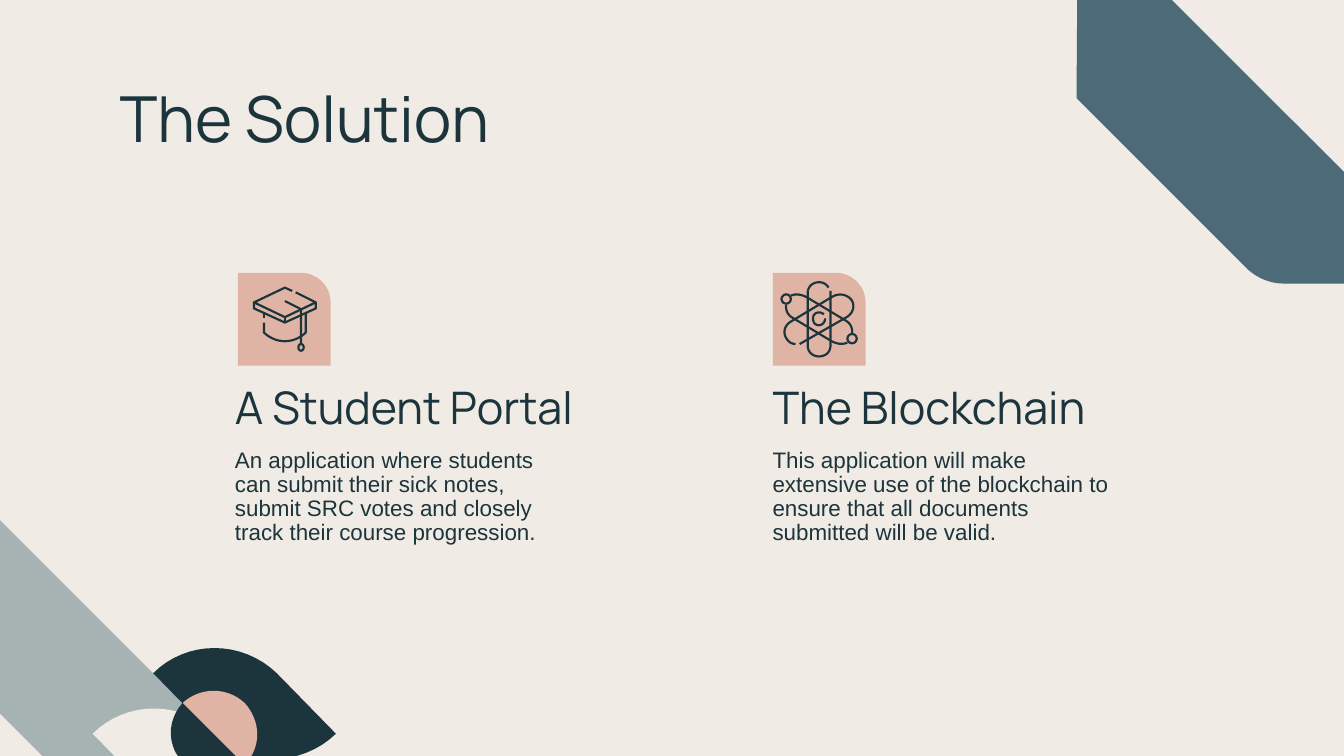
from dataclasses import dataclass

from pptx import Presentation
from pptx.dml.color import RGBColor
from pptx.enum.shapes import MSO_SHAPE
from pptx.enum.text import MSO_ANCHOR, MSO_AUTO_SIZE, PP_ALIGN
from pptx.util import Pt

OVAL = MSO_SHAPE.OVAL
TILE = MSO_SHAPE.ROUND_1_RECTANGLE
TOP = MSO_ANCHOR.TOP
LEFT = PP_ALIGN.LEFT
NO_FIT = MSO_AUTO_SIZE.NONE

PX = 4572  # EMU per px: 200 px to the inch
CURVE_STEPS = 16


@dataclass(frozen=True)
class Theme:
    paper: str = "F0EBE4"
    ink: str = "1C343C"
    blue: str = "4C6A78"
    sage: str = "A7B3B2"
    blush: str = "E0B4A4"
    display: str = "Manrope"
    text: str = "Arial"
    title_size: int = 34
    heading_size: int = 24
    body_size: int = 12
    stroke: float = 1.15


THEME = Theme()

# Outlines: (x, y) is a line to a point, six numbers are a Bézier curve
BAND = [(478, 476), (2, 0), (0, 286), (256, 542),
        (270, 554, 288, 562, 308, 562), (478, 562)]
LEAF = [(0, 50), (50, 0, 132, 0, 184, 50), (272, 140),
        (220, 190, 138, 190, 88, 140)]
LOWER_HALF = [(26, 90), (52, 116, 92, 116, 118, 92), (24, 0),
              (0, 26, 0, 66, 26, 90)]
UPPER_HALF = [(92, 24), (66, 0, 26, 0, 0, 24), (92, 116),
              (118, 90, 116, 50, 92, 24)]

# Icons: strokes and (centre x, centre y, radius x, radius y) rings in a tile
CAP = [
    [(81, 27), (70, 22), (24, 44), (70, 66), (116, 44), (86, 29)],  # board
    [(24, 44), (24, 53), (70, 74), (116, 53), (116, 44)],  # rim
    [(70, 66), (70, 74)],
    [(70, 42), (94, 54), (94, 106)],  # tassel
    [(39, 60), (39, 67)],
    [(39, 74), (39, 89), (57, 106, 83, 106, 101, 89), (101, 60)],
]
CAP_RINGS = [(94, 111, 4, 5)]
ATOM = [
    [(86, 27), (86, 108), (86, 130, 52, 130, 52, 108), (52, 30),
     (52, 21, 59, 14, 69, 14), (75, 14, 80, 17, 83, 22)],  # upright orbit
    [(27, 34), (34, 31, 42, 32, 50, 36), (110, 72),
     (116, 76, 119, 83, 118, 90)],  # falling orbit
    [(111, 104), (104, 107, 96, 106, 88, 102), (28, 66),
     (22, 62, 19, 55, 20, 48)],
    [(40, 106), (110, 66), (122, 59, 123, 44, 114, 37),
     (106, 31, 96, 31, 88, 36), (28, 72), (17, 78, 14, 90, 22, 100),
     (25, 104, 30, 106, 34, 106)],  # rising orbit
    [(78, 68), (78, 73, 74, 78, 69, 78), (63, 78, 60, 74, 60, 68),
     (60, 62, 64, 59, 69, 59), (72, 59, 74, 60, 76, 62)],  # nucleus
]
ATOM_RINGS = [(20, 39, 7, 7), (118, 98, 7, 7)]


def rgb(color):
    return RGBColor.from_string(color)


def flatten(outline):
    """Turn lines and curves into points in EMU."""
    points = [outline[0]]
    for step in outline[1:]:
        if len(step) == 2:
            points.append(step)
            continue
        corners = [points[-1], step[:2], step[2:4], step[4:]]
        for i in range(1, CURVE_STEPS + 1):
            t = i / CURVE_STEPS
            weights = ((1 - t) ** 3, 3 * t * (1 - t) ** 2,
                       3 * t ** 2 * (1 - t), t ** 3)
            points.append(tuple(sum(w * c[axis] for w, c in zip(weights, corners))
                                for axis in (0, 1)))
    return [(round(px * PX), round(py * PX)) for px, py in points]


def paint(sp, fill=None, line=None):
    sp.shadow.inherit = False
    if fill:
        sp.fill.solid()
        sp.fill.fore_color.rgb = rgb(fill)
    else:
        sp.fill.background()
    if line:
        sp.line.color.rgb = rgb(line)
        sp.line.width = Pt(THEME.stroke)
    else:
        sp.line.fill.background()


def add_outlines(s, x, y, outlines, fill=None, line=None):
    """Draw outlines as one shape, closed when filled."""
    builder = None
    for outline in outlines:
        start, *rest = flatten(outline)
        if builder is None:
            builder = s.shapes.build_freeform(*start, scale=1.0)
        else:
            builder.move_to(*start)
        builder.add_line_segments(rest, close=fill is not None)
    paint(builder.convert_to_shape(x * PX, y * PX), fill, line)


def add_preset(s, kind, x, y, w, h, fill=None, line=None):
    sp = s.shapes.add_shape(kind, x * PX, y * PX, w * PX, h * PX)
    paint(sp, fill, line)
    return sp


def set_text(sp, text, font, size):
    tf = sp.text_frame
    tf.text = text
    tf.word_wrap = True
    tf.auto_size = NO_FIT
    tf.vertical_anchor = TOP
    p = tf.paragraphs[0]
    p.alignment = LEFT
    p.line_spacing = 0.9
    r = p.runs[0]
    r.font.name = font
    r.font.size = Pt(size)
    r.font.color.rgb = rgb(THEME.ink)


def add_text(s, x, y, w, h, text, font, size):
    set_text(s.shapes.add_textbox(x * PX, y * PX, w * PX, h * PX), text, font, size)


def add_title(s, x, y, w, h, text):
    sp = s.shapes.title
    sp.left, sp.top, sp.width, sp.height = (v * PX for v in (x, y, w, h))
    set_text(sp, text, THEME.display, THEME.title_size)


def add_eye(s, x, y):
    """Two leaves around a circle cut in half."""
    add_outlines(s, x + 90, y, [LEAF], THEME.ink)
    add_outlines(s, x, y + 90, [LEAF], THEME.paper)
    add_outlines(s, x + 110, y + 94, [LOWER_HALF], THEME.ink)
    add_outlines(s, x + 134, y + 70, [UPPER_HALF], THEME.blush)


def add_icon(s, x, y, strokes, rings):
    tile = add_preset(s, TILE, x, y, 138, 138, THEME.blush)
    tile.adjustments[0] = 0.32
    add_outlines(s, x, y, strokes, line=THEME.ink)
    for cx, cy, rx, ry in rings:
        add_preset(s, OVAL, x + cx - rx, y + cy - ry, 2 * rx, 2 * ry, line=THEME.ink)


def add_feature(s, x, y, icon_inset, strokes, rings, heading, body):
    """Icon, heading and description, stacked."""
    add_icon(s, x + icon_inset, y, strokes, rings)
    add_text(s, x, y + 158, 606, 98, heading, THEME.display, THEME.heading_size)
    add_text(s, x, y + 252, 540, 196, body, THEME.text, THEME.body_size)


def main():
    prs = Presentation()
    prs.slide_width, prs.slide_height = 2000 * PX, 1125 * PX
    s = prs.slides.add_slide(prs.slide_layouts[5])
    s.background.fill.solid()
    s.background.fill.fore_color.rgb = rgb(THEME.paper)

    # Corner decoration
    add_outlines(s, -4, 772, [BAND], THEME.sage)
    add_eye(s, 138, 952)
    add_outlines(s, 1602, -140, [BAND], THEME.blue)

    # Content
    add_title(s, 158, 120, 1684, 140, "The Solution")
    add_feature(s, 330, 406, 24, CAP, CAP_RINGS, "A Student Portal",
                "An application where students can submit their sick notes, "
                "submit SRC votes and closely track their course progression.")
    add_feature(s, 1130, 406, 20, ATOM, ATOM_RINGS, "The Blockchain",
                "This application will make extensive use of the blockchain "
                "to ensure that all documents submitted will be valid.")
    prs.save("out.pptx")


if __name__ == "__main__":
    main()
